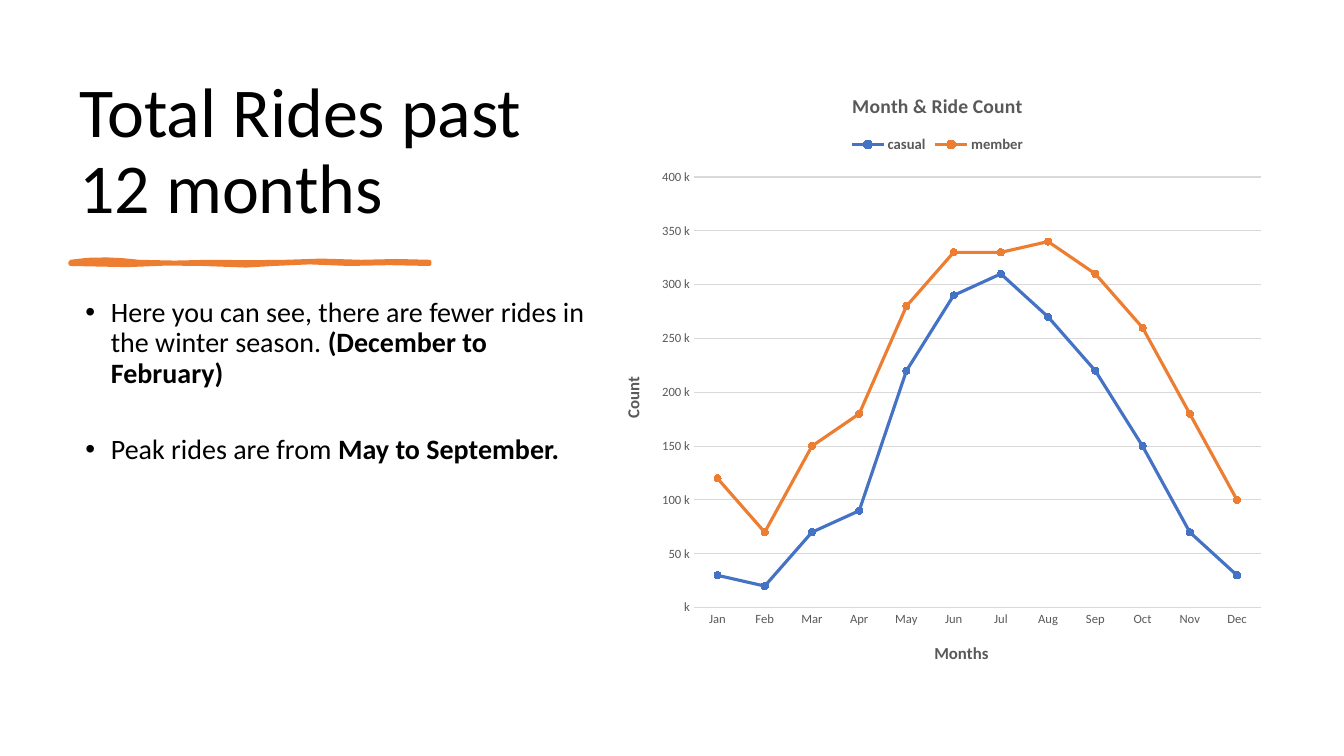
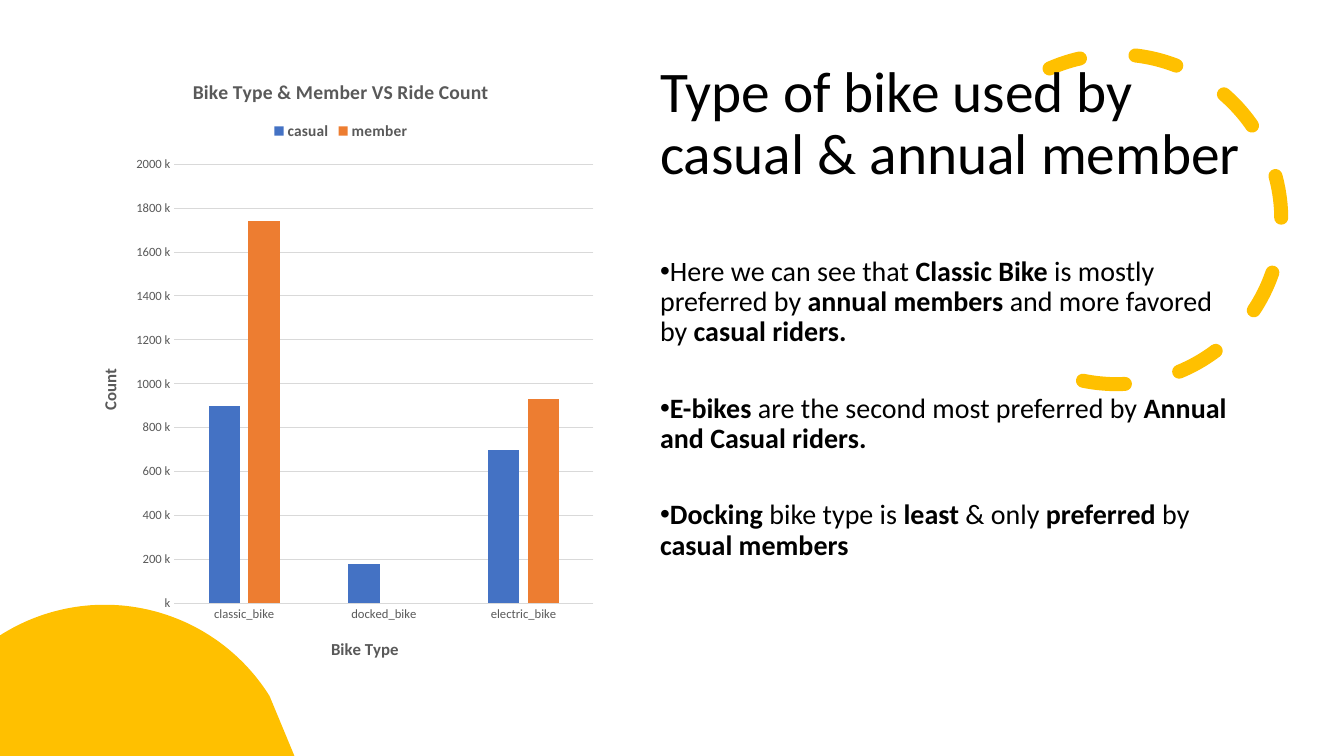
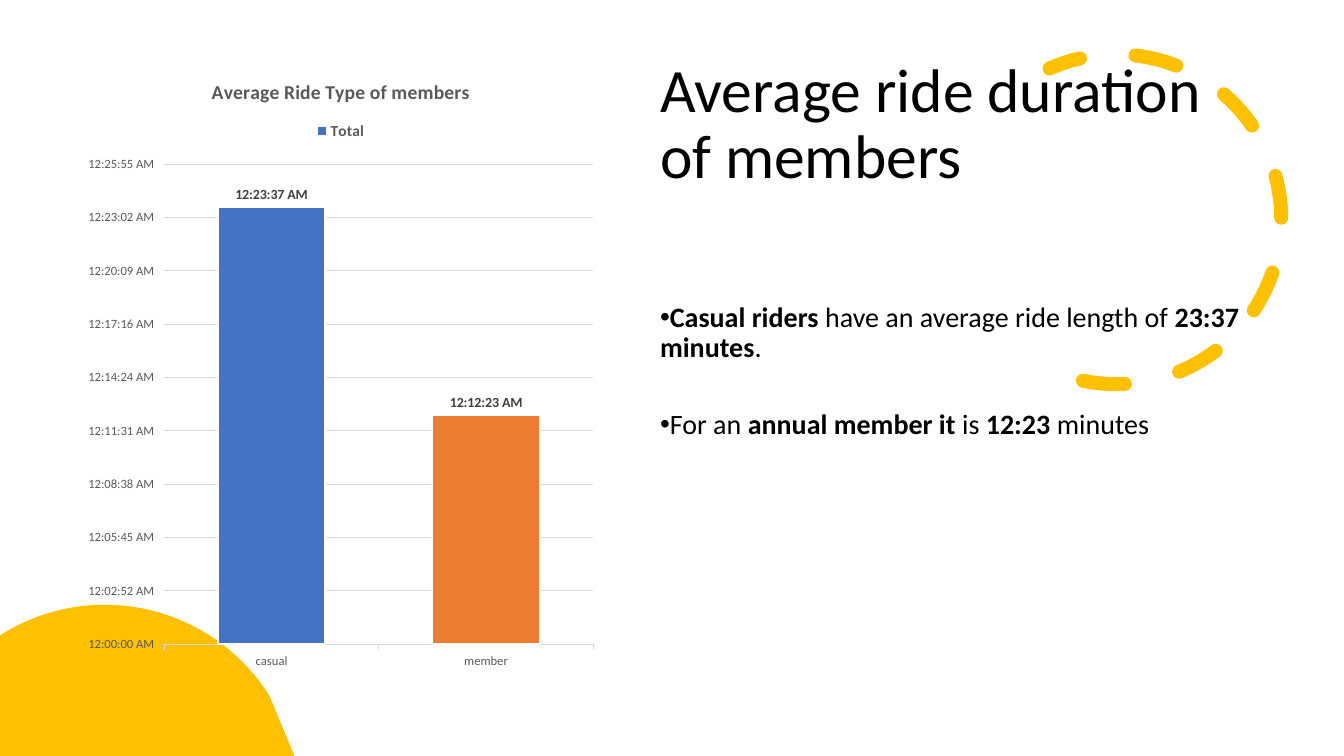
from math import cos, pi, sin

from lxml.etree import SubElement
from pptx import Presentation
from pptx.chart.data import CategoryChartData
from pptx.dml.color import RGBColor
from pptx.enum.chart import XL_CHART_TYPE, XL_LABEL_POSITION, XL_LEGEND_POSITION, XL_MARKER_STYLE, XL_TICK_MARK
from pptx.enum.dml import MSO_LINE
from pptx.enum.shapes import MSO_SHAPE
from pptx.enum.text import MSO_ANCHOR, MSO_AUTO_SIZE, PP_ALIGN
from pptx.oxml import parse_xml
from pptx.oxml.ns import nsdecls, qn
from pptx.util import Cm, Pt

FONT = "Calibri"
BLACK, GREY, GRID, LABEL = "000000", "595959", "D9D9D9", "404040"
BLUE, ORANGE, YELLOW, WHITE = "4472C4", "ED7D31", "FFC000", "FFFFFF"
COUNT_FORMAT = '#," k"'
TIME_FORMAT = r"[$-F400]h:mm:ss\ AM/PM"


def rgb(hex_code):
    return RGBColor.from_string(hex_code)


def style_font(font, size, color, bold=False):
    font.name = FONT
    font.size = Pt(size)
    font.bold = bold
    font.color.rgb = rgb(color)


RIGHT_TITLE = (16.38, 1.32, 15.16, 3.68)
LEFT_CHART = (1.96, 1.42, 13.26, 15.75)

slides = [
    dict(
        title="Total Rides past 12 months", title_size=50, title_box=(1.75, 1.78, 13.39, 4.11),
        anchor=MSO_ANCHOR.BOTTOM, body_box=(1.75, 7.39, 13.39, 9.86), margin=0.79, decor="stroke",
        bullets=[
            [("Here you can see, there are fewer rides in the winter season. ", False),
             ("(December to February)", True)],
            [("Peak rides are from", False), (" May to September.", True)],
        ],
        chart_type=XL_CHART_TYPE.LINE_MARKERS, chart_box=(15.14, 1.78, 16.97, 15.49),
        chart_title="Month & Ride Count", axis_titles=("Months", "Count"), legend_size=10.5,
        format=COUNT_FORMAT, top=400000, step=50000,
        categories=["Jan", "Feb", "Mar", "Apr", "May", "Jun", "Jul", "Aug", "Sep", "Oct", "Nov", "Dec"],
        series={
            "casual": [30000, 20000, 70000, 90000, 220000, 290000, 310000, 270000, 220000, 150000, 70000, 30000],
            "member": [120000, 70000, 150000, 180000, 280000, 330000, 330000, 340000, 310000, 260000, 180000, 100000],
        },
    ),
    dict(
        title="Type of bike used by casual & annual member", title_size=41, title_box=RIGHT_TITLE,
        anchor=MSO_ANCHOR.MIDDLE, body_box=(16.38, 6.35, 15.16, 11.63), margin=0, decor="arc",
        bullets=[
            [("Here we can see that ", False), ("Classic Bike", True), (" is mostly preferred by ", False),
             ("annual members ", True), ("and more favored by ", False), ("casual riders.", True)],
            [("E-bikes ", True), ("are the second most preferred by", False), (" Annual and Casual riders.", True)],
            [("Docking ", True), ("bike type is ", False), ("least", True), (" & only ", False),
             ("preferred", True), (" by ", False), ("casual members", True)],
        ],
        chart_type=XL_CHART_TYPE.COLUMN_CLUSTERED, chart_box=LEFT_CHART,
        chart_title="Bike Type & Member VS Ride Count", axis_titles=("Bike Type", "Count"), legend_size=11,
        format=COUNT_FORMAT, top=2000000, step=200000, gap=219, overlap=-27,
        categories=["classic_bike", "docked_bike", "electric_bike"],
        series={"casual": [900000, 180000, 700000], "member": [1740000, None, 930000]},
    ),
    dict(
        title="Average ride duration of members", title_size=44, title_box=RIGHT_TITLE,
        anchor=MSO_ANCHOR.MIDDLE, body_box=(16.38, 7.52, 15.16, 6.5), margin=0, decor="arc",
        bullets=[
            [("Casual riders ", True), ("have an average ride length of ", False), ("23:37 minutes", True),
             (".", False)],
            [("For an ", False), ("annual member it", True), (" is ", False), ("12:23 ", True), ("minutes", False)],
        ],
        chart_type=XL_CHART_TYPE.COLUMN_CLUSTERED, chart_box=LEFT_CHART,
        chart_title="Average Ride Type of members", axis_titles=(), legend_size=11,
        format=TIME_FORMAT, top=0.018, step=0.002, gap=100, overlap=0,
        categories=["casual", "member"],
        series={"Total": [0.016404, 0.0086]},
    ),
]

stroke_points = [
    (1.78, 6.6), (2.2, 6.55), (2.7, 6.54), (3.1, 6.56), (3.5, 6.6), (4.4, 6.62), (5.3, 6.6), (6.3, 6.61),
    (7.2, 6.6), (8.1, 6.57), (9.1, 6.6), (10, 6.58), (10.82, 6.6), (10.82, 6.65), (9.8, 6.63), (8.8, 6.65),
    (7.8, 6.61), (6.9, 6.65), (6.2, 6.69), (5.1, 6.65), (4.2, 6.64), (3.2, 6.68), (1.78, 6.65),
]
disc_x, disc_y, disc_r = 2.64, 20.14, 4.9
disc_angles = [pi * (0.682 - 0.504 * i / 60) for i in range(61)]
disc_points = [(0, 19.05), (0, 16.02)]
disc_points += [(disc_x + disc_r * cos(a), disc_y - disc_r * sin(a)) for a in disc_angles]
disc_points += [(7.42, 19.05)]

prs = Presentation()
prs.slide_width, prs.slide_height = Cm(33.87), Cm(19.05)

for info in slides:
    s = prs.slides.add_slide(prs.slide_layouts[1])
    title, body = s.shapes.title, s.placeholders[1]
    for sp, box in ((title, info["title_box"]), (body, info["body_box"])):
        sp.left, sp.top, sp.width, sp.height = [Cm(v) for v in box]
        sp.text_frame.word_wrap = True
        sp.text_frame.auto_size = MSO_AUTO_SIZE.NONE

    title.text_frame.vertical_anchor = info["anchor"]
    p = title.text_frame.paragraphs[0]
    p.alignment = PP_ALIGN.LEFT
    p.line_spacing = 0.9
    r = p.add_run()
    r.text = info["title"]
    style_font(r.font, info["title_size"], BLACK)

    tf = body.text_frame
    for i, runs in enumerate(info["bullets"]):
        p = tf.add_paragraph() if i else tf.paragraphs[0]
        p.line_spacing = 0.9
        p.space_before = Pt(0)
        p.space_after = Pt(33)
        pPr = p._p.get_or_add_pPr()
        pPr.set("marL", str(Cm(info["margin"])))
        pPr.set("indent", str(Cm(-0.64)))
        SubElement(pPr, qn("a:buFont")).set("typeface", "Arial")
        SubElement(pPr, qn("a:buChar")).set("char", "•")
        for text, bold in runs:
            r = p.add_run()
            r.text = text
            style_font(r.font, 20, BLACK, bold)

    points = stroke_points if info["decor"] == "stroke" else disc_points
    corners = [(Cm(x), Cm(y)) for x, y in points]
    builder = s.shapes.build_freeform(*corners[0])
    builder.add_line_segments(corners[1:], close=True)
    sp = builder.convert_to_shape()
    sp.shadow.inherit = False
    sp.fill.solid()
    if info["decor"] == "stroke":
        sp.fill.fore_color.rgb = rgb(ORANGE)
        sp.line.color.rgb = rgb(ORANGE)
        sp.line.width = Pt(3)
    else:
        sp.fill.fore_color.rgb = rgb(YELLOW)
        sp.line.fill.background()
        arc = s.shapes.add_shape(MSO_SHAPE.ARC, Cm(23.98), Cm(1.37), Cm(8.31), Cm(8.31))
        arc.shadow.inherit = False
        arc.adjustments[0], arc.adjustments[1] = 86.65, 0
        arc.rotation = 66.1
        arc.fill.background()
        arc.line.color.rgb = rgb(YELLOW)
        arc.line.width = Pt(10)
        arc.line.dash_style = MSO_LINE.DASH
        arc.element.spPr.find(qn("a:ln")).set("cap", "rnd")
        arc.element.spPr.find(qn("a:xfrm")).set("flipH", "1")
        title.element.addprevious(arc.element)

    data = CategoryChartData()
    data.categories = info["categories"]
    for name, values in info["series"].items():
        data.add_series(name, values)
    chart = s.shapes.add_chart(info["chart_type"], *[Cm(v) for v in info["chart_box"]], data).chart
    style_font(chart.font, 9, GREY)
    chart.element.find(qn("c:txPr")).addprevious(
        parse_xml(f'<c:spPr {nsdecls("c", "a")}><a:noFill/><a:ln><a:noFill/></a:ln></c:spPr>'))

    chart.has_title = True
    r = chart.chart_title.text_frame.paragraphs[0].add_run()
    r.text = info["chart_title"]
    style_font(r.font, 14, GREY, True)
    chart.has_legend = True
    chart.legend.position = XL_LEGEND_POSITION.TOP
    chart.legend.include_in_layout = False
    style_font(chart.legend.font, info["legend_size"], GREY, True)

    cat_axis, val_axis = chart.category_axis, chart.value_axis
    for axis, text in zip((cat_axis, val_axis), info["axis_titles"]):
        r = axis.axis_title.text_frame.paragraphs[0].add_run()
        r.text = text
        style_font(r.font, 12, GREY, True)
    for axis in (cat_axis, val_axis):
        axis.major_tick_mark = XL_TICK_MARK.NONE if info["axis_titles"] else XL_TICK_MARK.OUTSIDE
        style_font(axis.tick_labels.font, 9, GREY)
    val_axis.minimum_scale, val_axis.maximum_scale = 0, info["top"]
    val_axis.major_unit = info["step"]
    val_axis.tick_labels.number_format = info["format"]
    val_axis.tick_labels.number_format_is_linked = False
    val_axis.format.line.fill.background()
    for line in (cat_axis.format.line, val_axis.major_gridlines.format.line):
        line.color.rgb = rgb(GRID)
        line.width = Pt(0.75)

    plot = chart.plots[0]
    plot.vary_by_categories = False
    if "gap" in info:
        plot.gap_width, plot.overlap = info["gap"], info["overlap"]
    for ser, color in zip(plot.series, (BLUE, ORANGE)):
        if info["chart_type"] == XL_CHART_TYPE.LINE_MARKERS:
            ser.smooth = False
            ser.format.line.color.rgb = rgb(color)
            ser.format.line.width = Pt(2.25)
            ser.marker.style = XL_MARKER_STYLE.CIRCLE
            ser.marker.size = 5
            ser.marker.format.fill.solid()
            ser.marker.format.fill.fore_color.rgb = rgb(color)
            ser.marker.format.line.color.rgb = rgb(color)
        else:
            ser.format.fill.solid()
            ser.format.fill.fore_color.rgb = rgb(color)
    if len(plot.series) == 1:
        ser = plot.series[0]
        for item, color in ((ser, BLUE), (ser.points[1], ORANGE)):
            item.format.fill.solid()
            item.format.fill.fore_color.rgb = rgb(color)
            item.format.line.color.rgb = rgb(WHITE)
            item.format.line.width = Pt(1.5)
        labels = ser.data_labels
        labels.show_value = True
        labels.position = XL_LABEL_POSITION.OUTSIDE_END
        labels.number_format = info["format"]
        labels.number_format_is_linked = False
        style_font(labels.font, 10, LABEL, True)

prs.save("out.pptx")
